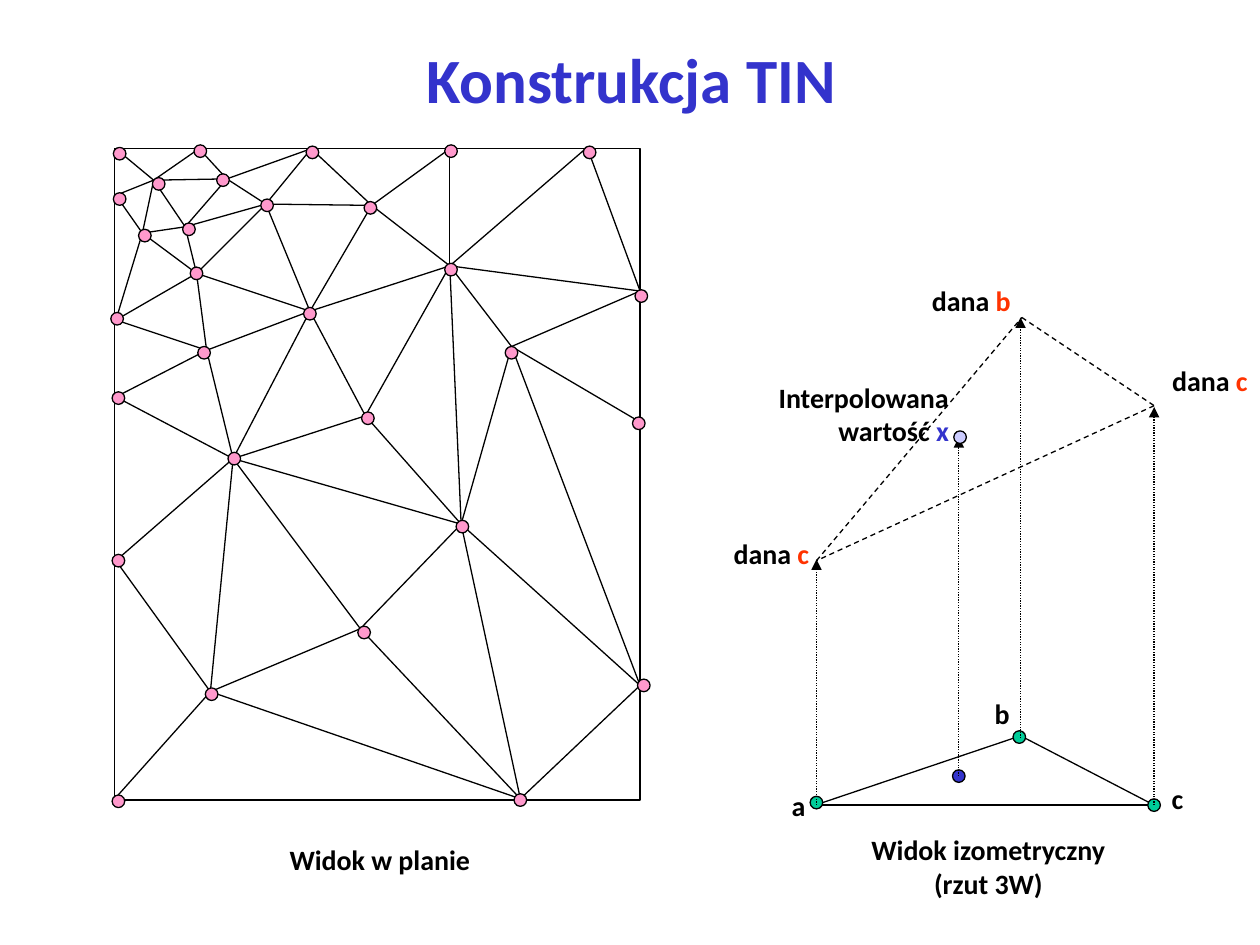
"""Build a slide explaining TIN construction in plan and isometric view."""
from lxml.etree import SubElement
from pptx import Presentation
from pptx.dml.color import RGBColor
from pptx.enum.dml import MSO_LINE
from pptx.enum.shapes import MSO_CONNECTOR, MSO_SHAPE
from pptx.enum.text import MSO_ANCHOR, MSO_AUTO_SIZE, PP_ALIGN
from pptx.oxml.ns import qn
from pptx.util import Inches, Pt

COLORS = {"ink": "000000", "blue": "3333CC", "red": "FF3300",
          "pink": "FF99CC", "green": "00CC99", "lilac": "CCCCFF"}
FONT = "Calibri"
DOT = 0.1
FRAME = (0.91, 1.18, 4.17, 5.17)

# name: (point where edges meet, top left corner of the dot)
VERTICES = {
    "A": ((0.92, 4.45), (0.89, 4.40)), "B": ((1.67, 5.49), (1.63, 5.46)),
    "C": ((0.92, 6.33), (0.89, 6.31)), "D": ((4.13, 6.34), (4.08, 6.30)),
    "E": ((2.86, 4.99), (2.84, 4.97)), "F": ((1.85, 3.64), (1.81, 3.59)),
    "G": ((3.66, 4.16), (3.62, 4.13)), "H": ((5.08, 5.44), (5.06, 5.39)),
    "I": ((2.90, 3.30), (2.87, 3.27)), "J": ((0.92, 3.15), (0.89, 3.11)),
    "K": ((1.64, 2.78), (1.57, 2.75)), "L": ((2.46, 2.47), (2.41, 2.44)),
    "M": ((3.57, 2.11), (3.53, 2.09)), "N": ((4.06, 2.75), (4.01, 2.75)),
    "O": ((0.92, 2.54), (0.88, 2.48)), "P": ((1.56, 2.17), (1.51, 2.12)),
    "Q": ((5.08, 3.35), (5.02, 3.31)), "R": ((2.11, 1.62), (2.07, 1.58)),
    "S": ((1.47, 1.80), (1.45, 1.77)), "T": ((1.13, 1.85), (1.10, 1.82)),
    "U": ((1.22, 1.43), (1.21, 1.41)), "V": ((1.80, 1.42), (1.72, 1.38)),
    "W": ((5.08, 2.31), (5.04, 2.30)), "X": ((3.57, 1.18), (3.53, 1.15)),
    "Y": ((4.66, 1.17), (4.63, 1.16)), "Z": ((2.47, 1.18), (2.43, 1.16)),
    "a": ((1.58, 1.18), (1.54, 1.15)), "b": ((0.93, 1.19), (0.90, 1.17)),
    "c": ((0.92, 1.55), (0.90, 1.53)), "d": ((2.95, 1.63), (2.89, 1.60)),
}
EDGES = """CB BA BF AF FI BE EF EG GF GI IM GM GN NM MY NW MW WY ED BD GD DH HG HN NQ
JK KL Ld dX FK FJ FL IL LM Md MX KO KP OP LP PR LR Rd RZ dZ UT TS SU SP PT TO Tc cU
Ub Ua SV SR VR VZ VU Va""".split()

BASE = [(6.47, 6.39), (8.10, 5.84), (9.16, 6.39)]
SURFACE = [(6.48, 4.45), (8.11, 2.52), (9.16, 3.22)]
BASE_DOTS = [(6.43, 6.32), (8.04, 5.80), (9.11, 6.34)]
RISES = [(6.48, 6.39, 4.44), (8.10, 5.86, 2.52), (9.16, 6.39, 3.23)]
SAMPLE_RISE = (7.61, 6.16, 3.47)

RIGHT, CENTER = PP_ALIGN.RIGHT, PP_ALIGN.CENTER
LABELS = [
    ([("dana ", "ink"), ("c", "red")], (5.35, 4.21, 1.17, 0.37), RIGHT),
    ([("dana ", "ink"), ("b", "red")], (6.95, 2.20, 1.17, 0.37), RIGHT),
    ([("dana ", "ink"), ("c", "red")], (8.83, 2.84, 1.17, 0.37), RIGHT),
    ([("a", "ink")], (5.32, 6.21, 1.17, 0.37), RIGHT),
    ([("b", "ink")], (6.94, 5.48, 1.17, 0.37), RIGHT),
    ([("c", "ink")], (8.32, 6.15, 1.17, 0.37), RIGHT),
    ([("Interpolowana wartość ", "ink"), ("x", "blue")], (5.90, 2.97, 1.73, 0.64), RIGHT),
    ([("Widok w planie", "ink")], (1.78, 6.64, 2.47, 0.37), CENTER),
    ([("Widok izometryczny (rzut 3W)", "ink")], (6.61, 6.56, 2.47, 0.64), CENTER),
]
TITLE = [("Konstrukcja TIN", "blue")]


def color(name):
    return RGBColor.from_string(COLORS[name])


def add_line(page, start, end, dash=None, arrow=False):
    line = page.shapes.add_connector(
        MSO_CONNECTOR.STRAIGHT, *(Inches(value) for value in (*start, *end)))
    line.line.color.rgb = color("ink")
    line.line.width = Pt(0.75)
    if dash:
        line.line.dash_style = dash
    if arrow:
        SubElement(line.line._get_or_add_ln(), qn("a:tailEnd"), type="triangle")
    SubElement(line._element.spPr, qn("a:effectLst"))


def add_triangle(page, corners, dash=None):
    for index, start in enumerate(corners):
        add_line(page, start, corners[(index + 1) % 3], dash=dash)


def add_rise(page, rise):
    x, bottom, top = rise
    add_line(page, (x, bottom), (x, top), dash=MSO_LINE.ROUND_DOT, arrow=True)


def add_outlined(page, kind, place, fill=None):
    shape = page.shapes.add_shape(kind, *(Inches(value) for value in place))
    shape.shadow.inherit = False
    shape.line.color.rgb = color("ink")
    shape.line.width = Pt(0.75)
    if fill:
        shape.fill.solid()
        shape.fill.fore_color.rgb = color(fill)
    else:
        shape.fill.background()


def add_dot(page, corner, fill):
    add_outlined(page, MSO_SHAPE.FLOWCHART_CONNECTOR, (*corner, DOT, DOT), fill)


def add_text(page, spans, place, size=16, align=CENTER, before=10,
             anchor=MSO_ANCHOR.TOP, fit=MSO_AUTO_SIZE.SHAPE_TO_FIT_TEXT):
    box = page.shapes.add_textbox(*(Inches(value) for value in place))
    frame = box.text_frame
    frame.word_wrap = True
    frame.auto_size = fit
    frame.vertical_anchor = anchor
    para = frame.paragraphs[0]
    para.alignment = align
    para.space_before = Pt(before)
    for text, shade in spans:
        span = para.add_run()
        span.text = text
        span.font.name = FONT
        span.font.size = Pt(size)
        span.font.bold = True
        span.font.color.rgb = color(shade)


def main():
    deck = Presentation()
    deck.slide_width, deck.slide_height = Inches(10), Inches(7.5)
    page = deck.slides.add_slide(deck.slide_layouts[6])

    add_triangle(page, BASE)
    add_outlined(page, MSO_SHAPE.RECTANGLE, FRAME)
    for start, end in EDGES:
        add_line(page, VERTICES[start][0], VERTICES[end][0])
    for _, corner in VERTICES.values():
        add_dot(page, corner, "pink")

    add_triangle(page, SURFACE, dash=MSO_LINE.DASH)
    for corner in BASE_DOTS:
        add_dot(page, corner, "green")
    for rise in RISES:
        add_rise(page, rise)
    add_dot(page, (7.56, 6.11), "blue")
    add_rise(page, SAMPLE_RISE)

    for spans, place, align in LABELS:
        add_text(page, spans, place, align=align)
    add_dot(page, (7.57, 3.42), "lilac")
    add_text(page, TITLE, (0.76, 0, 8.5, 1.25), size=36, before=0,
             anchor=MSO_ANCHOR.MIDDLE, fit=MSO_AUTO_SIZE.NONE)
    deck.save("out.pptx")


if __name__ == "__main__":
    main()
